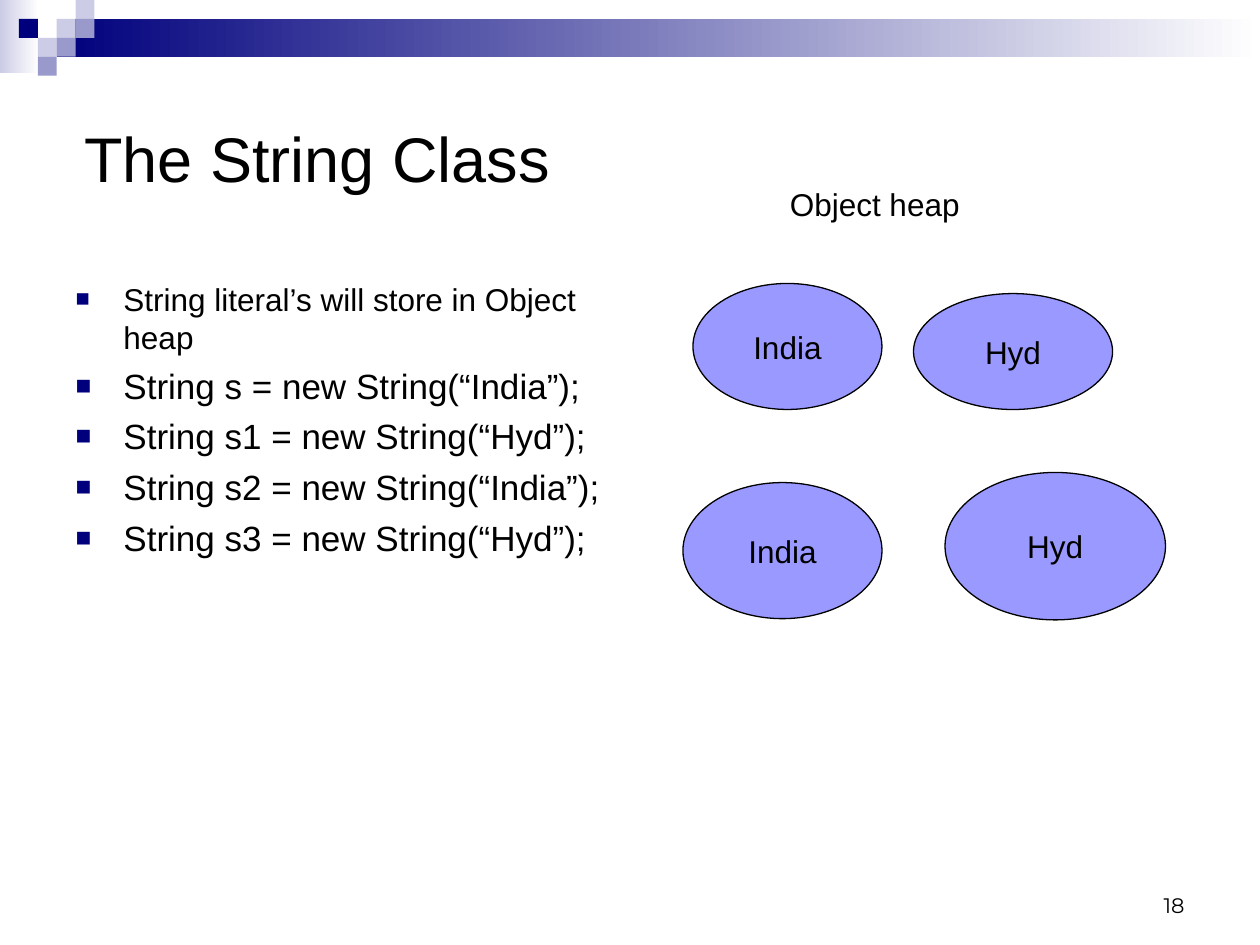
from dataclasses import dataclass

from lxml import etree
from pptx import Presentation
from pptx.dml.color import RGBColor
from pptx.enum import shapes, text
from pptx.oxml import ns
from pptx.util import Inches, Pt


@dataclass(frozen=True)
class Theme:
    font: str = "Arial"
    num_font: str = "Montserrat"
    ink: str = "000000"
    navy: str = "00007D"
    pale: str = "CCCCE6"
    mid: str = "9999CC"
    oval: str = "9999FF"
    white: str = "FFFFFF"
    title: int = 36
    code: int = 20
    text: int = 18
    small: int = 12


class Deck:
    def __init__(self, theme):
        self.theme = theme
        self.prs = Presentation()
        self.prs.slide_width, self.prs.slide_height = Inches(10), Inches(7.5)
        self.slide = self.prs.slides.add_slide(self.prs.slide_layouts[1])

    def place(self, shape, box):
        shape.left, shape.top, shape.width, shape.height = map(Inches, box)

    def style(self, para, size, align=text.PP_ALIGN.LEFT, font=None):
        para.alignment = align
        para.font.size = Pt(size)
        para.font.name = font or self.theme.font
        para.font.color.rgb = RGBColor.from_string(self.theme.ink)

    def shape(self, kind, box):
        item = self.slide.shapes.add_shape(kind, *map(Inches, box))
        item.shadow.inherit = False
        item.line.fill.background()
        return item

    def block(self, box, color):
        item = self.shape(shapes.MSO_SHAPE.RECTANGLE, box)
        item.fill.solid()
        item.fill.fore_color.rgb = RGBColor.from_string(color)

    def fade(self, box, color):
        """Draw a band that runs from color at the left to white."""
        fill = self.shape(shapes.MSO_SHAPE.RECTANGLE, box).fill
        fill.gradient()
        fill.gradient_angle = 180
        for stop, tone in zip(fill.gradient_stops, (self.theme.white, color)):
            stop.color.rgb = RGBColor.from_string(tone)

    def title(self, words, box):
        item = self.slide.shapes.title
        self.place(item, box)
        frame = item.text_frame
        frame.text = words
        frame.auto_size = text.MSO_AUTO_SIZE.NONE
        frame.vertical_anchor = text.MSO_ANCHOR.MIDDLE
        self.style(frame.paragraphs[0], self.theme.title)

    def bullet(self, para):
        """Give a paragraph a hanging square bullet."""
        props = para._p.get_or_add_pPr()
        props.set("marL", str(Inches(0.38)))
        props.set("indent", str(Inches(-0.38)))
        color = etree.SubElement(props, ns.qn("a:buClr"))
        etree.SubElement(color, ns.qn("a:srgbClr"), val=self.theme.navy)
        etree.SubElement(props, ns.qn("a:buSzPct"), val="75000")
        etree.SubElement(props, ns.qn("a:buFont"), typeface=self.theme.font)
        etree.SubElement(props, ns.qn("a:buChar"), char="■")

    def body(self, items, box):
        item = self.slide.placeholders[1]
        self.place(item, box)
        frame = item.text_frame
        frame.text = "\n".join(words for words, _ in items)
        frame.auto_size = text.MSO_AUTO_SIZE.NONE
        for para, (_, size) in zip(frame.paragraphs, items):
            para.space_before = Pt(size / 4)
            self.bullet(para)
            self.style(para, size)

    def oval(self, words, box):
        item = self.shape(shapes.MSO_SHAPE.OVAL, box)
        item.fill.solid()
        item.fill.fore_color.rgb = RGBColor.from_string(self.theme.oval)
        item.line.color.rgb = RGBColor.from_string(self.theme.ink)
        item.line.width = Pt(0.75)
        frame = item.text_frame
        frame.text = words
        frame.word_wrap = False
        frame.vertical_anchor = text.MSO_ANCHOR.MIDDLE
        self.style(frame.paragraphs[0], self.theme.text, text.PP_ALIGN.CENTER)

    def label(self, words, box):
        frame = self.slide.shapes.add_textbox(*map(Inches, box)).text_frame
        frame.text = words
        frame.word_wrap = False
        frame.auto_size = text.MSO_AUTO_SIZE.SHAPE_TO_FIT_TEXT
        self.style(frame.paragraphs[0], self.theme.text)

    def number(self, words, box):
        frame = self.slide.shapes.add_textbox(*map(Inches, box)).text_frame
        frame.text = words
        frame.word_wrap = True
        frame.vertical_anchor = text.MSO_ANCHOR.BOTTOM
        self.style(frame.paragraphs[0], self.theme.small,
                   text.PP_ALIGN.RIGHT, self.theme.num_font)


def main():
    theme = Theme()
    deck = Deck(theme)

    deck.fade((0, 0, 0.31, 0.58), theme.pale)
    deck.fade((0.45, 0.15, 9.55, 0.3), theme.navy)
    side = 0.15
    tiles = [(3, 1, theme.pale), (4, 0, theme.pale), (4, 1, theme.mid),
             (2, 2, theme.pale), (1, 1, theme.navy), (3, 2, theme.mid),
             (2, 3, theme.mid)]
    for col, row, color in tiles:
        deck.block((col * side, row * side, side, side), color)

    deck.title("The String Class", (0.57, 0.57, 8.85, 1.35))
    deck.body([
        ("String literal’s will store in Object heap", theme.text),
        ("String s = new String(“India”);", theme.code),
        ("String s1 = new String(“Hyd”);", theme.code),
        ("String s2 = new String(“India”);", theme.code),
        ("String s3 = new String(“Hyd”);", theme.code),
    ], (0.5, 2.17, 4.42, 4.25))

    deck.oval("India", (5.5, 2.25, 1.5, 1))
    deck.oval("Hyd", (7.25, 2.33, 1.58, 0.92))
    deck.oval("India", (5.42, 3.83, 1.58, 1.08))
    deck.oval("Hyd", (7.5, 3.75, 1.75, 1.17))
    deck.label("Object heap", (6.17, 1.42, 1.55, 0.4))
    deck.number("18", (7.17, 6.83, 2.33, 0.5))

    deck.prs.save("out.pptx")


if __name__ == "__main__":
    main()
